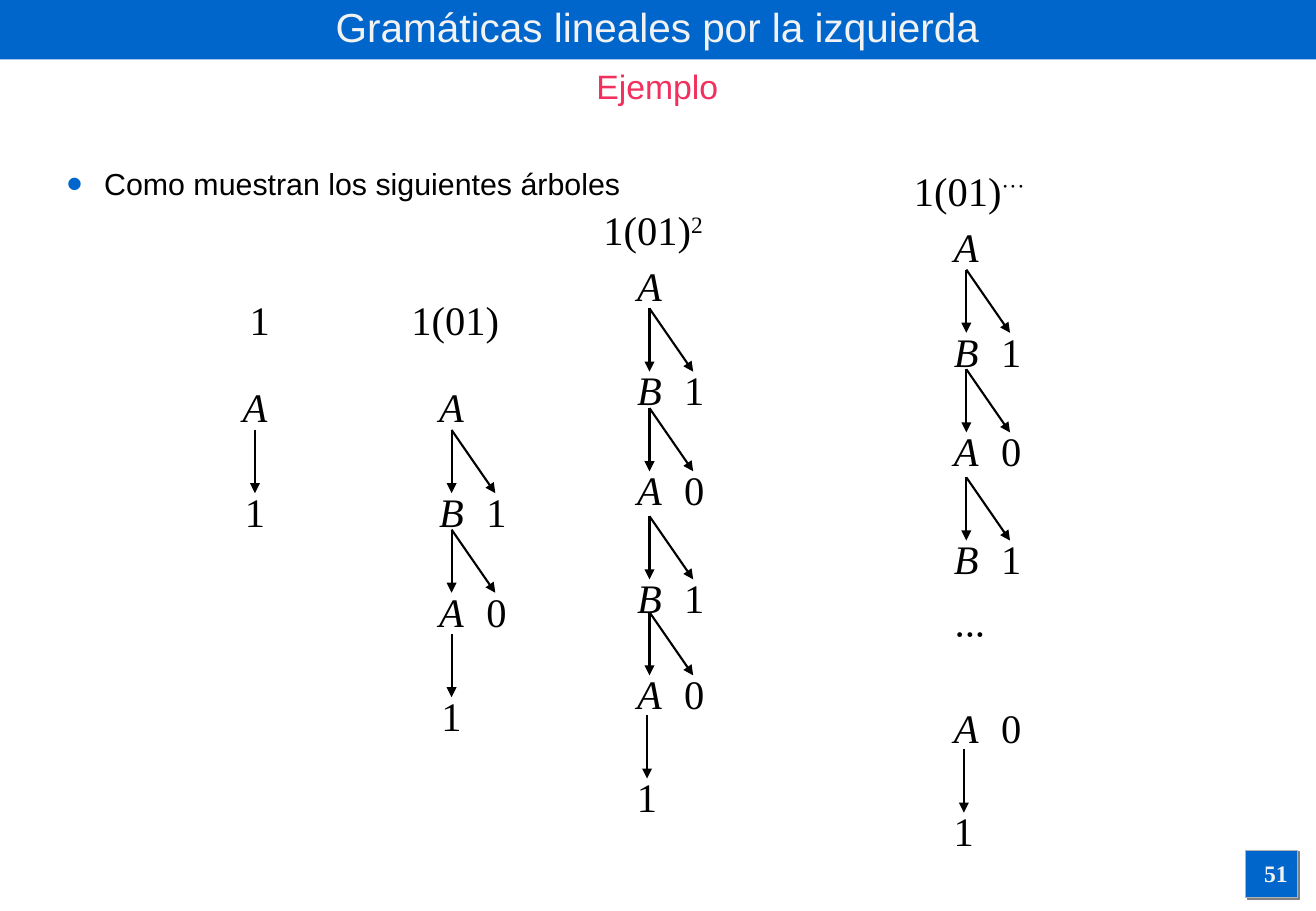
from lxml import etree
from pptx import Presentation
from pptx import util as u
from pptx.dml import color
from pptx.enum import shapes, text
from pptx.oxml import ns

SCALE = 9144
BLUE, GREY, SHADE, PALE, PINK, BLACK = "0066CC", "B2B2B2", "808080", "F2F2F2", "F2305E", "000000"

SIZE = (1084, 750)
BAR = (0, 0, 1085, 49)
BADGE = (1026, 700, 43, 39)
TITLE = ("Gramáticas lineales por la izquierda", (0, 0, 1083, 44))
SUBTITLE = ("Ejemplo", (0, 49, 1083, 44))
STATEMENT = ("Como muestran los siguientes árboles", (45, 131, 996, 185))
NUMBER = ("51", (1024, 702, 54, 35))

GAP = "···"
TREES = [
    {"label": ("1", "", 196, 238, 36), "axis": 210, "leaf": 210,
     "levels": [("A", "", 310), ("1", "", 396)]},
    {"label": ("1(01)", "", 329, 238, 92), "axis": 372, "leaf": 372,
     "levels": [("A", "", 310), ("B", "1", 396), ("A", "0", 478), ("1", "", 564)]},
    {"label": ("1(01)", "2", 487, 164, 102), "axis": 535, "leaf": 533,
     "levels": [("A", "", 210), ("B", "1", 296), ("A", "0", 378),
                ("B", "1", 467), ("A", "0", 546), ("1", "", 631)]},
    {"label": ("1(01)", GAP, 743, 132, 111), "axis": 796, "leaf": 794,
     "levels": [("A", "", 178), ("B", "1", 264), ("A", "0", 346), ("B", "1", 435),
                (GAP, "", 496), ("A", "0", 574), ("1", "", 659)]},
]
WIDTHS = {"1": 36, GAP: 45}
NODE_WIDTH, SIDE_WIDTH, LINE_HEIGHT = 40, 36, 50
SIDE_OFFSET, BRANCH, RISE, DROP = 19, 36, 42, 10

SANS = {"name": "Arial", "bold": False}
SERIF = {"name": "Times New Roman", "size": u.Pt(24)}

deck = Presentation()
deck.slide_width, deck.slide_height = (side * SCALE for side in SIZE)
page = deck.slides.add_slide(deck.slide_layouts[5])


def px(*lengths):
    return [length * SCALE for length in lengths]


def rgb(value):
    return color.RGBColor.from_string(value)


def apply(target, values):
    for name, value in values.items():
        setattr(target, name, value)


def add_xml(parent, tag, **attributes):
    return etree.SubElement(parent, ns.qn(tag), attributes)


def write(box, words, tone, font, align=text.PP_ALIGN.CENTER, wrap=True,
          anchor=text.MSO_ANCHOR.TOP, raised=""):
    left, top = px(10, 5)
    apply(box.text_frame, {
        "word_wrap": wrap, "auto_size": text.MSO_AUTO_SIZE.NONE, "vertical_anchor": anchor,
        "margin_left": left, "margin_right": left, "margin_top": top, "margin_bottom": top})
    para = box.text_frame.paragraphs[0]
    para.alignment = align
    for part in filter(None, (words, raised)):
        span = para.add_run()
        span.text = part
        apply(span.font, font)
        span.font.color.rgb = rgb(tone)
    if raised:
        span.font._element.set("baseline", "30000")
    return para


def add_text(place, words, tone, font, **options):
    return write(page.shapes.add_textbox(*px(*place)), words, tone, font, **options)


def add_symbol(center, top, words, width):
    font = SERIF | {"italic": not words.isdigit()}
    add_text((center - width // 2, top, width, LINE_HEIGHT), words, BLACK, font, wrap=False)


def add_panel(place):
    panel = page.shapes.add_shape(shapes.MSO_SHAPE.RECTANGLE, *px(*place))
    panel.shadow.inherit = False
    panel.fill.solid()
    panel.fill.fore_color.rgb = rgb(BLUE)
    panel.line.fill.background()
    return panel


def add_arrow(start, end, top):
    arrow = page.shapes.add_connector(
        shapes.MSO_CONNECTOR.STRAIGHT, *px(start, top - RISE, end, top + DROP))
    arrow.line.width = u.Pt(1.25)
    arrow.line.color.rgb = rgb(BLACK)
    add_xml(arrow.line._get_or_add_ln(), "a:tailEnd", type="triangle")
    add_xml(arrow.element.spPr, "a:effectLst")


def add_tree(label, axis, leaf, levels):
    words, raised, left, top, width = label
    add_text((left, top, width, LINE_HEIGHT), words, BLACK, SERIF, wrap=False, raised=raised)
    previous = GAP
    for symbol, side, top in levels:
        center = leaf if symbol == "1" else axis
        width = WIDTHS.get(symbol, NODE_WIDTH)
        add_symbol(center + (width - NODE_WIDTH) // 2 if symbol == GAP else center,
                   top, symbol, width)
        if side:
            add_symbol(axis + SIDE_OFFSET + SIDE_WIDTH // 2, top, side, SIDE_WIDTH)
        if GAP not in (previous, symbol):
            add_arrow(center, center, top)
            if side:
                add_arrow(axis, axis + BRANCH, top)
        previous = symbol


badge = add_panel(BADGE)
badge.line.width = u.Pt(0.75)
badge.line.color.rgb = rgb(GREY)
effects = badge.element.spPr.find(ns.qn("a:effectLst"))
shadow = add_xml(effects, "a:outerShdw", dist=str(u.Pt(1.4)), dir="2700000")
add_xml(shadow, "a:srgbClr", val=SHADE)
add_panel(BAR)

title = page.shapes.title
title.element.getparent().append(title.element)
apply(title, dict(zip(("left", "top", "width", "height"), px(*TITLE[1]))))
write(title, TITLE[0], PALE, SANS | {"size": u.Pt(24)}, anchor=text.MSO_ANCHOR.MIDDLE)
add_text(SUBTITLE[1], SUBTITLE[0], PINK, SANS | {"size": u.Pt(20)})

statement = add_text(STATEMENT[1], STATEMENT[0], BLACK, SANS | {"size": u.Pt(18)},
                     align=text.PP_ALIGN.LEFT)
layout = statement._p.get_or_add_pPr()
indent = 31 * SCALE
apply(layout.attrib, {})
layout.set("marL", str(indent))
layout.set("indent", str(-indent))
add_xml(add_xml(layout, "a:buClr"), "a:srgbClr", val=BLUE)
add_xml(layout, "a:buSzPct", val="150000")
add_xml(layout, "a:buFont", typeface="Arial")
add_xml(layout, "a:buChar", char="•")

for tree in TREES:
    add_tree(**tree)

add_text(NUMBER[1], NUMBER[0], PALE, SERIF | {"size": u.Pt(14), "bold": True})

deck.save("out.pptx")
